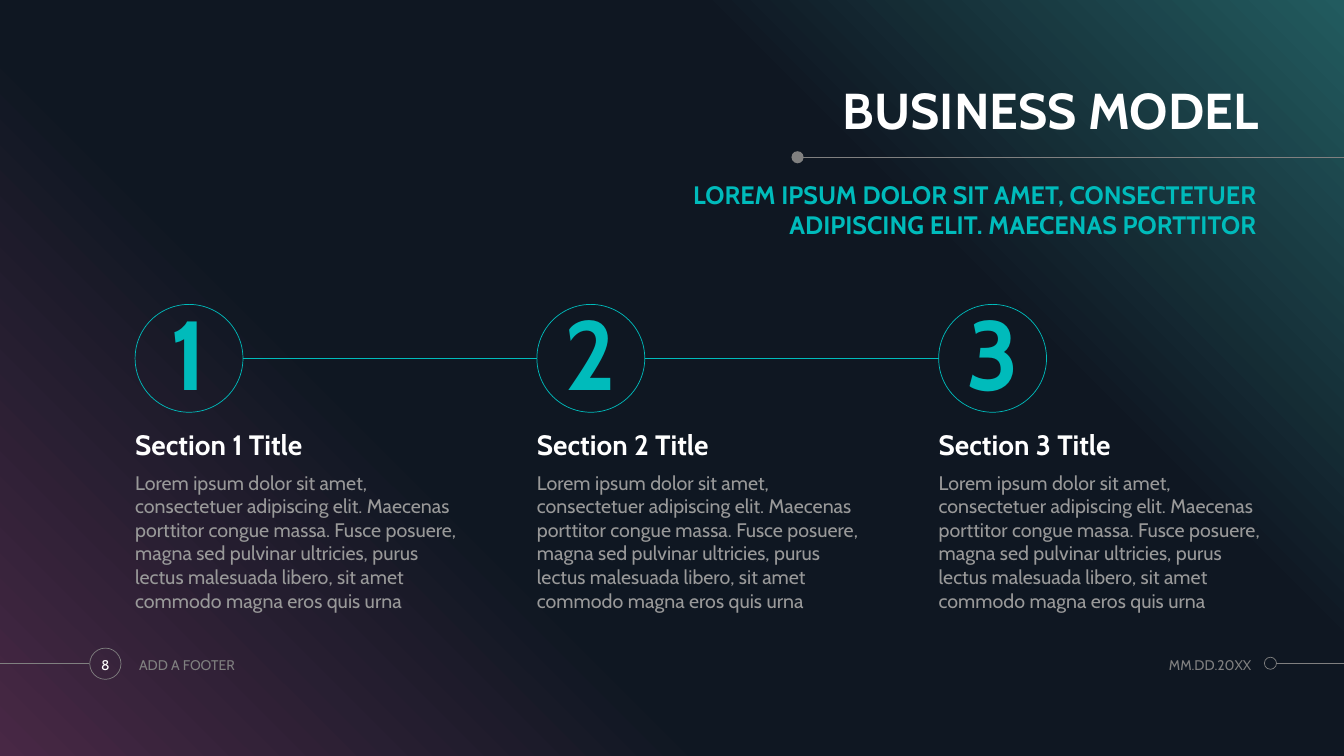
from lxml import etree
from pptx import Presentation
from pptx.dml.color import RGBColor
from pptx.enum.shapes import MSO_CONNECTOR, MSO_SHAPE
from pptx.enum.text import MSO_ANCHOR, MSO_AUTO_SIZE, PP_ALIGN
from pptx.oxml.ns import qn
from pptx.util import Inches, Pt

LEFT, CENTER, RIGHT = PP_ALIGN.LEFT, PP_ALIGN.CENTER, PP_ALIGN.RIGHT
TOP, MIDDLE, BOTTOM = MSO_ANCHOR.TOP, MSO_ANCHOR.MIDDLE, MSO_ANCHOR.BOTTOM
NO_AUTOFIT = MSO_AUTO_SIZE.NONE
STRAIGHT, OVAL = MSO_CONNECTOR.STRAIGHT, MSO_SHAPE.OVAL

# Content
TITLE = "BUSINESS MODEL"
SUBTITLE = "LOREM IPSUM DOLOR SIT AMET, CONSECTETUER ADIPISCING ELIT. MAECENAS PORTTITOR"
LOREM = ("Lorem ipsum dolor sit amet, consectetuer adipiscing elit. Maecenas porttitor "
         "congue massa. Fusce posuere, magna sed pulvinar ultricies, purus lectus "
         "malesuada libero, sit amet commodo magna eros quis urna")
SECTIONS = [
    ("1", "Section 1 Title", LOREM),
    ("2", "Section 2 Title", LOREM),
    ("3", "Section 3 Title", LOREM),
]
PAGE, FOOTER, DATE = "8", "ADD A FOOTER", "MM.DD.20XX"

# Style
FONT = "Cabin"
COLORS = {"white": "FFFFFF", "teal": "00BBBB", "text": "999999", "gray": "808080"}
BACKGROUND_STOPS = [(0, "482845"), (34, "0F1722"), (69, "0F1722"), (100, "225B5F")]

# Layout in inches
SLIDE_W, SLIDE_H = 13.33, 7.5
FIRST_X, STEP_X, SECTION_W = 1.34, 3.985, 3.22
CIRCLE_Y, CIRCLE = 3.02, 1.07
FOOTER_Y, FOOTER_H, FOOTER_LINE_Y = 6.43, 0.33, 6.58


def color(name):
    return RGBColor.from_string(COLORS[name])


def place(shape, x, y, w, h):
    shape.left, shape.top = Inches(x), Inches(y)
    shape.width, shape.height = Inches(w), Inches(h)


def write(shape, text, size, color_name, bold=False, align=LEFT, anchor=TOP,
          spacing=1.0, wrap=True):
    frame = shape.text_frame
    frame.word_wrap, frame.auto_size = wrap, NO_AUTOFIT
    frame.vertical_anchor = anchor
    frame.margin_left = frame.margin_right = frame.margin_top = frame.margin_bottom = 0
    paragraph = frame.paragraphs[0]
    paragraph.alignment, paragraph.line_spacing = align, spacing
    paragraph.space_before = Pt(0)
    run = paragraph.add_run()
    run.text = text
    run.font.name, run.font.size, run.font.bold = FONT, Pt(size), bold
    run.font.color.rgb = color(color_name)


def add_text(x, y, w, h, *args, **kwargs):
    box = slide.shapes.add_textbox(Inches(x), Inches(y), Inches(w), Inches(h))
    write(box, *args, **kwargs)


def add_line(x1, x2, y, color_name):
    line = slide.shapes.add_connector(
        STRAIGHT, Inches(x1), Inches(y), Inches(x2), Inches(y))
    line.line.color.rgb, line.line.width = color(color_name), Pt(0.5)
    etree.SubElement(line._element.spPr, qn("a:effectLst"))


def add_circle(x, y, size, color_name, filled=False):
    circle = slide.shapes.add_shape(
        OVAL, Inches(x), Inches(y), Inches(size), Inches(size))
    circle.shadow.inherit = False
    if filled:
        circle.fill.solid()
        circle.fill.fore_color.rgb = color(color_name)
        circle.line.fill.background()
    else:
        circle.fill.background()
        circle.line.color.rgb, circle.line.width = color(color_name), Pt(0.5)
    return circle


prs = Presentation()
prs.slide_width, prs.slide_height = Inches(SLIDE_W), Inches(SLIDE_H)
slide = prs.slides.add_slide(prs.slide_layouts[1])

# Diagonal background gradient
background = slide.background.fill
background.gradient()
background.gradient_angle = 45
stops = slide._element.find(".//" + qn("a:gsLst"))
for stop in list(stops):
    stops.remove(stop)
for percent, hex_color in BACKGROUND_STOPS:
    stop = etree.SubElement(stops, qn("a:gs"), pos=str(percent * 1000))
    etree.SubElement(stop, qn("a:srgbClr"), val=hex_color)

# Title and subtitle
title, subtitle = slide.shapes.title, slide.placeholders[1]
place(title, 5.58, 0.77, 6.9, 0.62)
write(title, TITLE, 36, "white", bold=True, align=RIGHT, anchor=BOTTOM, spacing=0.9)
place(subtitle, 5.58, 1.78, 6.88, 0.62)
subtitle_format = subtitle.text_frame.paragraphs[0]._p.get_or_add_pPr()
subtitle_format.set("marL", "0")
subtitle_format.set("indent", "0")
etree.SubElement(subtitle_format, qn("a:buNone"))
write(subtitle, SUBTITLE, 18, "teal", bold=True, align=RIGHT)

# Title rule
add_line(7.94, SLIDE_W, 1.56, "gray")
add_circle(7.85, 1.5, 0.12, "gray", filled=True)

# Numbered sections joined by lines
for i, (number, heading, body) in enumerate(SECTIONS):
    x = FIRST_X + i * STEP_X
    if i < len(SECTIONS) - 1:
        add_line(x + CIRCLE, x + STEP_X, CIRCLE_Y + CIRCLE / 2, "teal")
    circle = add_circle(x, CIRCLE_Y, CIRCLE, "teal")
    write(circle, number, 70, "teal", bold=True, align=CENTER, anchor=MIDDLE,
          spacing=0.9, wrap=False)
    add_text(x, 4.22, SECTION_W, 0.36, heading, 20, "white", bold=True,
             anchor=BOTTOM, spacing=0.9)
    add_text(x, 4.67, SECTION_W, 1.55, body, 14, "text")

# Footer
add_line(0, 0.88, FOOTER_LINE_Y, "gray")
add_circle(0.89, FOOTER_Y, 0.31, "gray")
add_line(12.66, SLIDE_W, FOOTER_LINE_Y, "gray")
add_circle(12.54, 6.52, 0.12, "gray")
for x, w, text, color_name, align in [
    (0.85, 0.39, PAGE, "white", CENTER),
    (1.38, 3.0, FOOTER, "gray", LEFT),
    (10.95, 1.46, DATE, "gray", RIGHT),
]:
    add_text(x, FOOTER_Y, w, FOOTER_H, text, 10, color_name, align=align, anchor=MIDDLE)

prs.save("out.pptx")
